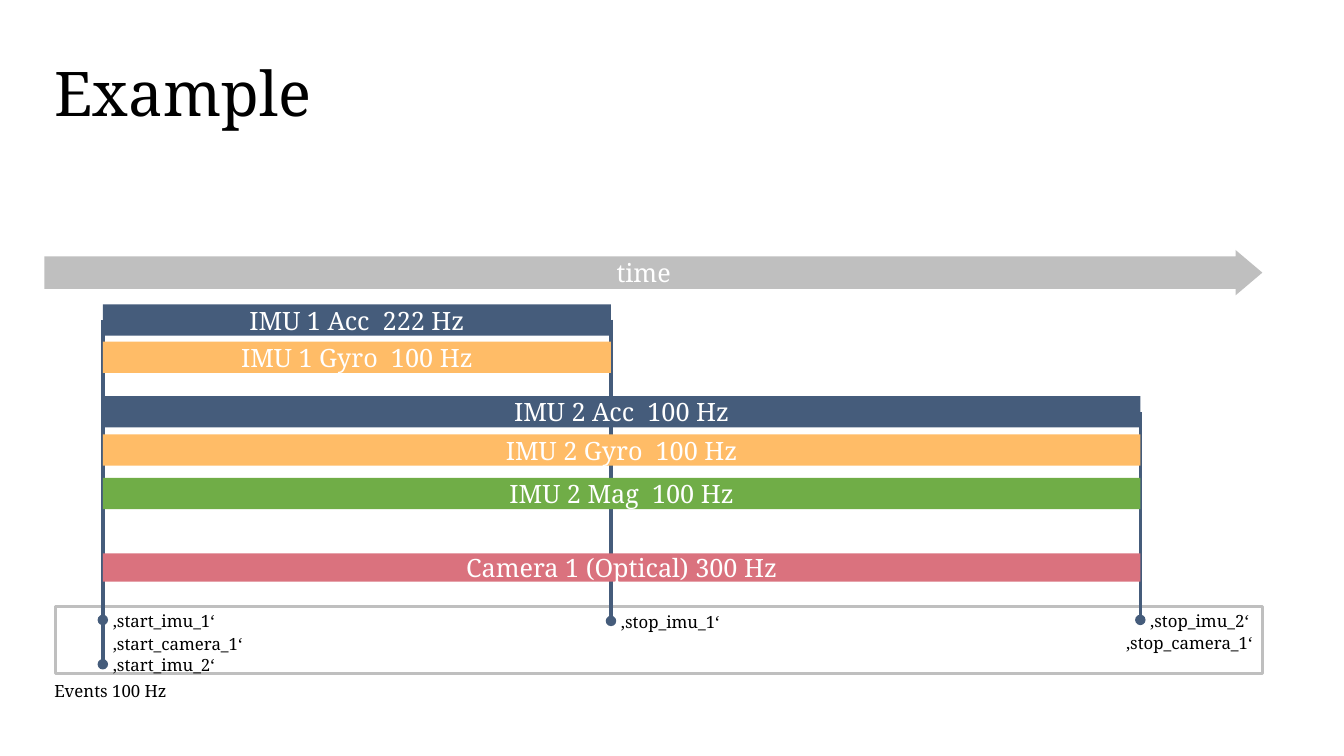
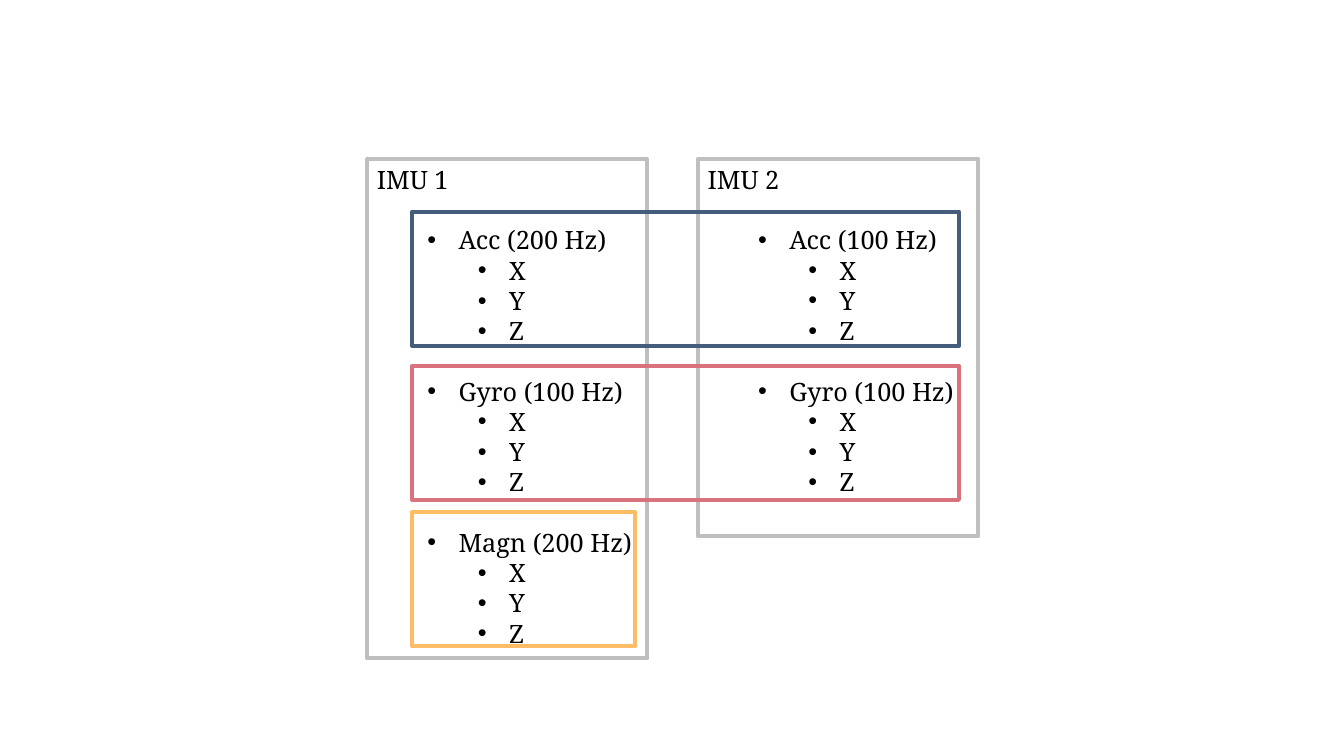
from lxml import etree
from pptx import Presentation
from pptx.dml.color import RGBColor
from pptx.enum.shapes import MSO_CONNECTOR, MSO_SHAPE
from pptx.enum.text import MSO_ANCHOR, PP_ALIGN
from pptx.oxml.ns import qn
from pptx.util import Inches, Pt

RECT, ARROW = MSO_SHAPE.RECTANGLE, MSO_SHAPE.RIGHT_ARROW
STRAIGHT = MSO_CONNECTOR.STRAIGHT
TOP, MIDDLE = MSO_ANCHOR.TOP, MSO_ANCHOR.MIDDLE
LEFT, CENTER = PP_ALIGN.LEFT, PP_ALIGN.CENTER

BLACK = RGBColor(0x00, 0x00, 0x00)
WHITE = RGBColor(0xFF, 0xFF, 0xFF)
GRAY = RGBColor(0xBF, 0xBF, 0xBF)
NAVY = RGBColor(0x45, 0x5C, 0x7B)
ROSE = RGBColor(0xDA, 0x72, 0x7E)
AMBER = RGBColor(0xFF, 0xBC, 0x67)
GREEN = RGBColor(0x70, 0xAD, 0x47)

FONT = "Noto Serif"
LINE_PITCH = Pt(21.6)
TITLE_ONLY, BLANK = 5, 6

START, IMU_1_STOP, IMU_2_STOP = 1.02, 6.06, 11.31
BARS = [
    ("IMU 1 Acc  222 Hz", 3.02, IMU_1_STOP, 0.31, NAVY),
    ("IMU 1 Gyro  100 Hz", 3.39, IMU_1_STOP, 0.31, AMBER),
    ("IMU 2 Acc  100 Hz", 3.93, IMU_2_STOP, 0.31, NAVY),
    ("IMU 2 Gyro  100 Hz", 4.31, IMU_2_STOP, 0.31, AMBER),
    ("IMU 2 Mag  100 Hz", 4.74, IMU_2_STOP, 0.31, GREEN),
    ("Camera 1 (Optical) 300 Hz", 5.49, IMU_2_STOP, 0.28, ROSE),
]
EVENT_LINES = [
    (START, 3.17, 6.15),
    (START, 4.09, 6.59),
    (IMU_1_STOP, 3.17, 6.16),
    (IMU_2_STOP, 4.09, 6.15),
]
LABELS = [
    ("‚start_imu_1‘", START, 6.06),
    ("‚start_camera_1‘", START, 6.29),
    ("‚start_imu_2‘", START, 6.5),
    ("‚stop_imu_1‘", IMU_1_STOP, 6.07),
    ("‚stop_imu_2‘", IMU_2_STOP, 6.06),
    ("‚stop_camera_1‘", 11.07, 6.28),
    ("Events 100 Hz", 0.44, 6.76),
]
DEVICES = [
    ("IMU 1", 3.64, 4.95, ["Acc (200 Hz)", "Gyro (100 Hz)", "Magn (200 Hz)"]),
    ("IMU 2", 6.92, 3.74, ["Acc (100 Hz)", "Gyro (100 Hz)"]),
]
GROUPS = [(2.1, 5.42, NAVY), (3.63, 5.42, ROSE), (5.08, 2.21, AMBER)]


def format_paragraph(p, size, color, align=LEFT):
    p.alignment = align
    for r in p.runs:
        r.font.name = FONT
        r.font.size = Pt(size)
        r.font.color.rgb = color


def write(s, text, size, color, align=LEFT):
    tf = s.text_frame
    tf.text = text
    tf.word_wrap = True
    tf.vertical_anchor = MIDDLE
    format_paragraph(tf.paragraphs[0], size, color, align)


def add_title(s, text):
    title = s.shapes.title
    title.left, title.top = Inches(0.44), Inches(0.23)
    title.width, title.height = Inches(11.5), Inches(1.45)
    write(title, text, 44, BLACK)
    title.text_frame.paragraphs[0].line_spacing = 0.9


def add_bar(s, kind, x, y, w, h, color, text):
    sp = s.shapes.add_shape(kind, Inches(x), Inches(y), Inches(w), Inches(h))
    sp.shadow.inherit = False
    sp.fill.solid()
    sp.fill.fore_color.rgb = color
    sp.line.fill.background()
    write(sp, text, 18, WHITE, CENTER)
    return sp


def add_frame(s, x, y, w, h, color, weight):
    sp = s.shapes.add_shape(RECT, Inches(x), Inches(y), Inches(w), Inches(h))
    sp.shadow.inherit = False
    sp.fill.background()
    sp.line.color.rgb = color
    sp.line.width = Pt(weight)
    return sp


def add_event_line(s, x, top, bottom):
    line = s.shapes.add_connector(STRAIGHT, Inches(x), Inches(top), Inches(x), Inches(bottom))
    line.line.color.rgb = NAVY
    line.line.width = Pt(2.5)
    props = line._element.spPr
    etree.SubElement(props.find(qn("a:ln")), qn("a:tailEnd"), type="oval")
    etree.SubElement(props, qn("a:effectLst"))


def add_label(s, text, x, y):
    box = s.shapes.add_textbox(Inches(x), Inches(y), Inches(1.69), Inches(0.19))
    write(box, text, 12, BLACK)


def add_bullet(tf, text, level):
    p = tf.add_paragraph()
    p.text = text
    p.level = level
    p.line_spacing = LINE_PITCH
    props = p._p.get_or_add_pPr()
    props.set("marL", str(Inches(0.31 + 0.5 * level)))
    props.set("indent", str(Inches(-0.31)))
    etree.SubElement(props, qn("a:buFont"), typeface="Arial")
    etree.SubElement(props, qn("a:buChar"), char="•")
    format_paragraph(p, 18, BLACK)
    return p


def add_device(s, name, x, h, sensors):
    tf = add_frame(s, x, 1.58, 2.78, h, GRAY, 3).text_frame
    tf.text = name
    tf.word_wrap = True
    tf.vertical_anchor = TOP
    tf.margin_right = 0
    tf.paragraphs[0].line_spacing = LINE_PITCH
    format_paragraph(tf.paragraphs[0], 18, BLACK)
    for sensor in sensors:
        add_bullet(tf, sensor, 1).space_before = LINE_PITCH
        for axis in "XYZ":
            add_bullet(tf, axis, 2)


def build_timeline(prs):
    s = prs.slides.add_slide(prs.slide_layouts[TITLE_ONLY])
    add_title(s, "Example")
    arrow = add_bar(s, ARROW, 0.44, 2.48, 12.08, 0.45, GRAY, "time")
    arrow.adjustments[0] = 0.72
    arrow.adjustments[1] = 0.59
    add_frame(s, 0.55, 6.02, 11.97, 0.66, GRAY, 2.25)
    for event in EVENT_LINES:
        add_event_line(s, *event)
    for text, y, stop, h, color in BARS:
        add_bar(s, RECT, START, y, stop - START, h, color, text)
    for label in LABELS:
        add_label(s, *label)


def build_devices(prs):
    s = prs.slides.add_slide(prs.slide_layouts[BLANK])
    for device in DEVICES:
        add_device(s, *device)
    for y, w, color in GROUPS:
        add_frame(s, 4.09, y, w, 1.33, color, 3)


def main():
    prs = Presentation()
    prs.slide_width, prs.slide_height = Inches(13.33), Inches(7.5)
    build_timeline(prs)
    build_devices(prs)
    prs.save("out.pptx")


main()
